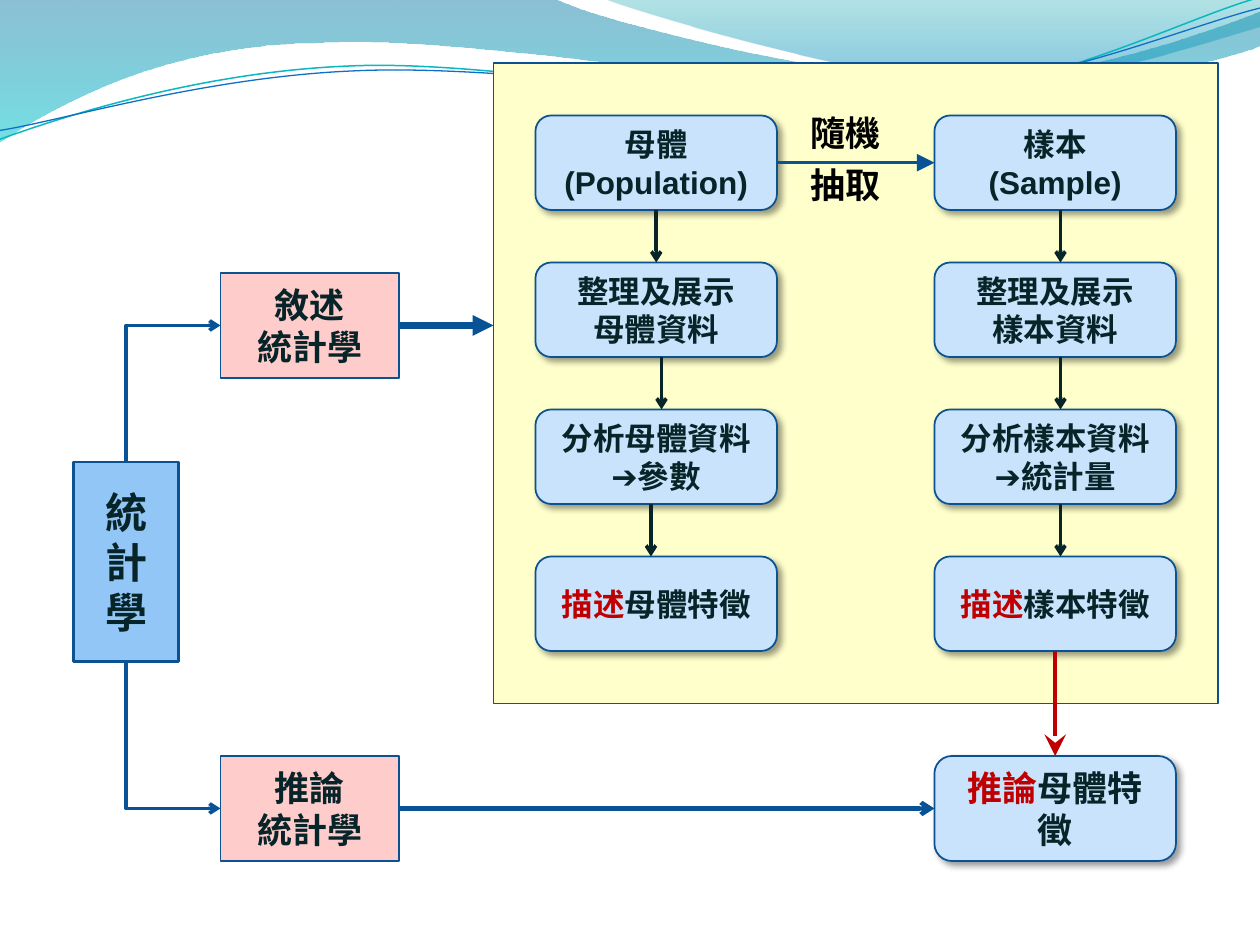
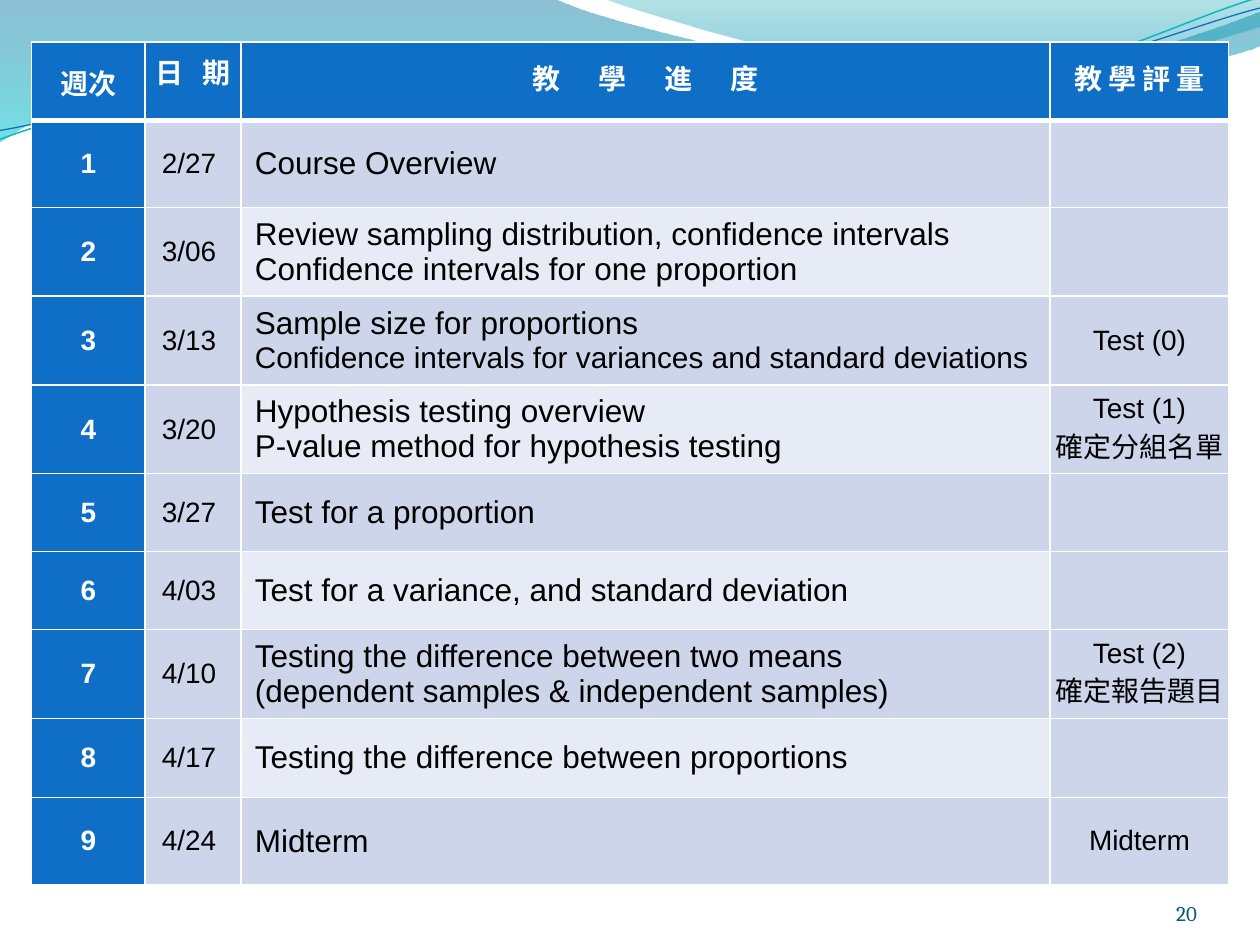
from dataclasses import dataclass

from lxml.etree import SubElement
from pptx import Presentation
from pptx.dml.color import RGBColor
from pptx.enum.shapes import MSO_CONNECTOR, MSO_SHAPE
from pptx.enum.text import MSO_ANCHOR, PP_ALIGN
from pptx.oxml.ns import qn
from pptx.util import Cm, Pt


@dataclass(frozen=True)
class Theme:
    font: str = "Arial"
    label_font: str = "Lato"
    number_font: str = "Cambria"
    ink: str = "072428"
    black: str = "000000"
    white: str = "FFFFFF"
    accent: str = "C00000"
    outline: str = "0B5292"
    flow: str = "095295"
    root: str = "91C6F7"
    branch: str = "FFCCCC"
    panel: str = "FFFFCC"
    step: str = "C8E3FB"
    heading: str = "0F6FC6"
    teal: str = "0AB8BF"
    band: str = "CCD5EA"
    band_light: str = "E7EBF5"
    page_number: str = "045D75"
    root_size: float = 24
    branch_size: float = 20
    step_size: float = 18
    cell_size: float = 16
    topic_size: float = 18
    tight_size: float = 17
    number_size: float = 12


@dataclass(frozen=True)
class Pen:
    colour: str
    width: float
    head: str
    head_size: str = "med"


THEME = Theme()
BRANCH_PEN = Pen(THEME.flow, 2, "arrow")
STEP_PEN = Pen(THEME.ink, 2, "arrow")
DRAW_PEN = Pen(THEME.flow, 2, "triangle", "lg")
PANEL_PEN = Pen(THEME.flow, 4, "triangle")
INFER_PEN = Pen(THEME.flow, 2.5, "arrow")
RESULT_PEN = Pen(THEME.accent, 2.5, "stealth", "lg")
TOP, LEFT, BOTTOM, RIGHT = range(4)

# Wave outlines in thousandths of the slide width:
# a start point, then lines (x, y) and curves (x1, y1, x2, y2, x, y).
BROAD_WAVE = [(0, -1), (440, -1), (476, 17, 664, 63, 758, 63),
              (853, 63, 958, 26, 1000, 9), (1001, 36),
              (983, 44, 870, 76, 746, 75), (622, 75, 382, 28, 257, 34),
              (129, 35, 46, 83, -1, 113)]
RIGHT_WAVE = [(479, -1), (509, 11, 682, 62, 769, 65),
              (856, 69, 961, 32, 1000, 21), (1000, 0)]
TEAL_LINE = [(-2, 87.4), (47, 72, 158, 41, 277.5, 41.5),
             (395.6, 42, 591.5, 93, 712, 90), (832, 87, 939.5, 36, 1000, 21.5)]
BLUE_LINE = [(-2, 80), (46, 75, 164, 45, 283, 46),
             (403.5, 46.5, 596, 87.5, 716, 85), (835, 83, 942, 42, 1002, 29.5)]
LINE_TILT = -2.7

COLUMN_WIDTHS = [2.28, 1.94, 16.31, 3.6]
ROW_HEIGHTS = [1.58, 1.75, 1.79, 1.79, 1.79, 1.57, 1.57, 1.79, 1.6, 1.75]
# Heading, line spacing and letter spacing in points, top margin in cm
HEADINGS = [("週次", 12, 0, 0.42), ("日 期", 12, 3.8, 0),
            ("教 學 進 度", 18, 9.1, 0), ("教 學 評 量", 18, 0, 0)]
# Date, topics, tests; "\v" breaks a line inside a paragraph
SCHEDULE = [
    ("2/27 ", ["Course Overview"], []),
    ("3/06 ", ["Review sampling distribution, confidence intervals",
               "Confidence intervals for one proportion"], []),
    ("3/13 ", ["Sample size for proportions",
               "Confidence intervals for variances and standard deviations"],
     ["Test (0)"]),
    ("3/20 ", ["Hypothesis testing overview\vP-value method for hypothesis testing"],
     ["Test (1)", "確定分組名單"]),
    ("3/27 ", ["Test for a proportion"], []),
    ("4/03 ", ["Test for a variance, and standard deviation"], []),
    ("4/10 ", ["Testing the difference between two means\v"
               "(dependent samples & independent samples)"],
     ["Test (2)", "確定報告題目"]),
    ("4/17 ", ["Testing the difference between proportions"], []),
    ("4/24 ", ["Midterm"], ["Midterm"]),
]


def rgb(colour):
    return RGBColor.from_string(colour)


def grid(steps):
    """Length of a number of steps, 120 of which span the slide width."""
    return Cm(25.4 * steps / 120)


def add_wave(page, outline, close):
    """Freeform whose six-number segments become true curves."""
    points = [segment[at:at + 2] for segment in outline
              for at in range(0, len(segment), 2)]
    builder = page.shapes.build_freeform(*points[0], scale=Cm(25.4) / 1000)
    builder.add_line_segments(points[1:], close=close)
    wave = builder.convert_to_shape()
    wave.shadow.inherit = False
    lines = iter(list(wave._element.spPr.iter(qn("a:lnTo"))))
    for segment in outline[1:]:
        line = next(lines)
        if len(segment) == 6:
            line.tag = qn("a:cubicBezTo")
            for control in (next(lines), next(lines)):
                line.append(control[0])
                control.getparent().remove(control)
    return wave


def add_filled_wave(page, outline, stops):
    """Wave with a downward gradient; a stop is (position, colour, opacity %)."""
    wave = add_wave(page, outline, True)
    wave.line.fill.background()
    wave.fill.gradient()
    wave.fill.gradient_angle = 270
    for stop, (position, colour, _) in zip(wave.fill.gradient_stops, stops):
        stop.position = position
        stop.color.rgb = rgb(colour)
    for colour, (_, _, opacity) in zip(wave._element.spPr.iter(qn("a:srgbClr")), stops):
        SubElement(colour, qn("a:alpha"), val=str(opacity * 1000))
    return wave


def add_line_wave(page, outline, colour, width):
    wave = add_wave(page, outline, False)
    wave.fill.background()
    wave.line.color.rgb = rgb(colour)
    wave.line.width = Pt(width)
    wave.rotation = LINE_TILT
    return wave


def add_master_waves(deck, page):
    """Draw the waves on a page, then hand them to the slide master."""
    waves = [
        add_filled_wave(page, BROAD_WAVE, [(0, "0074A1", 45), (1, "00C6CF", 55)]),
        add_filled_wave(page, RIGHT_WAVE, [(0, "00A1A9", 30), (0.8, "008BBF", 45)]),
        add_line_wave(page, TEAL_LINE, THEME.teal, 0.85),
        add_line_wave(page, BLUE_LINE, THEME.heading, 0.75)]
    for number, wave in enumerate(waves):
        wave._element.nvSpPr.cNvPr.set("id", str(101 + number))
        deck.slide_master.shapes._spTree.append(wave._element)


def write(frame, lines, size, colour, bold=False, align=PP_ALIGN.CENTER,
          font=THEME.font, accent=""):
    """Fill a frame, one paragraph a line; a leading accent word turns red."""
    for number, line in enumerate(lines):
        para = frame.add_paragraph() if number else frame.paragraphs[0]
        para.alignment = align
        para.font.name = font
        para.font.size = Pt(size)
        para.font.bold = bold
        para.font.color.rgb = rgb(colour)
        if accent:
            span = para.add_run()
            span.text = accent
            span.font.color.rgb = rgb(THEME.accent)
        for row, part in enumerate(line.split("\v")):
            if row:
                para.add_line_break()
            para.add_run().text = part


def add_box(page, place, fill, lines=(), size=THEME.branch_size, width=1,
            kind=MSO_SHAPE.RECTANGLE, accent=""):
    """Box with its place (left, top, width, height) in grid steps."""
    box = page.shapes.add_shape(kind, *map(grid, place))
    box.shadow.inherit = False
    box.fill.solid()
    box.fill.fore_color.rgb = rgb(fill)
    box.line.color.rgb = rgb(THEME.outline)
    box.line.width = Pt(width)
    box.text_frame.word_wrap = True
    box.text_frame.vertical_anchor = MSO_ANCHOR.MIDDLE
    write(box.text_frame, lines, size, THEME.ink, bold=True, accent=accent)
    return box


def add_step(page, left, top, lines, height=9, size=THEME.step_size, accent=""):
    box = add_box(page, (left, top, 23, height), THEME.step, lines, size,
                  kind=MSO_SHAPE.ROUNDED_RECTANGLE, accent=accent)
    effects = box._element.spPr.find(qn("a:effectLst"))
    shadow = SubElement(effects, qn("a:outerShdw"), blurRad=str(Pt(4)),
                        dist=str(Pt(3)), dir="2700000", algn="tl", rotWithShape="0")
    colour = SubElement(shadow, qn("a:srgbClr"), val=THEME.black)
    SubElement(colour, qn("a:alpha"), val="40000")
    return box


def add_step_column(page, left, steps):
    return [add_step(page, left, 11 + 14 * number, lines, accent=accent)
            for number, (lines, accent) in enumerate(steps)]


def style_arrow(arrow, pen, end="a:tailEnd"):
    arrow.line.color.rgb = rgb(pen.colour)
    arrow.line.width = Pt(pen.width)
    SubElement(arrow.line._get_or_add_ln(), qn(end), type=pen.head,
               w=pen.head_size, len=pen.head_size)
    SubElement(arrow._element.spPr, qn("a:effectLst"))


def add_arrow(page, pen, begin, end):
    """Straight arrow; each end is a grid point or a (box, side) pair."""
    arrow = page.shapes.add_connector(MSO_CONNECTOR.STRAIGHT, 0, 0, 0, 0)
    if isinstance(begin[0], (int, float)):
        arrow.begin_x, arrow.begin_y = map(grid, begin)
    else:
        arrow.begin_connect(*begin)
    if isinstance(end[0], (int, float)):
        arrow.end_x, arrow.end_y = map(grid, end)
    else:
        arrow.end_connect(*end)
    style_arrow(arrow, pen)


def add_branch_arrow(page, root, root_side, branch):
    """One-bend line drawn from the branch back to the root, head at the branch."""
    arrow = page.shapes.add_connector(MSO_CONNECTOR.ELBOW, 0, 0, 0, 0)
    arrow._element.spPr.find(qn("a:prstGeom")).set("prst", "bentConnector2")
    arrow.begin_connect(branch, LEFT)
    arrow.end_connect(root, root_side)
    style_arrow(arrow, BRANCH_PEN, "a:headEnd")


def build_statistics_map(page):
    root = add_box(page, (7, 44, 10, 19), THEME.root, ["統計學"], THEME.root_size, 1.5)
    descriptive = add_box(page, (21, 26, 17, 10), THEME.branch, ["敘述", "統計學"])
    inferential = add_box(page, (21, 72, 17, 10), THEME.branch, ["推論", "統計學"])
    add_branch_arrow(page, root, TOP, descriptive)
    add_branch_arrow(page, root, BOTTOM, inferential)

    add_box(page, (47, 6, 69, 61), THEME.panel)
    population = add_step_column(page, 51, [
        (["母體", "(Population)"], ""), (["整理及展示", "母體資料"], ""),
        (["分析母體資料", "➔參數"], ""), (["母體特徵"], "描述")])
    sample = add_step_column(page, 89, [
        (["樣本", "(Sample)"], ""), (["整理及展示", "樣本資料"], ""),
        (["分析樣本資料", "➔統計量"], ""), (["樣本特徵"], "描述")])
    conclusion = add_step(page, 89, 72, ["母體特徵"], 10, THEME.branch_size, "推論")

    add_arrow(page, PANEL_PEN, (descriptive, RIGHT), (47, 31))
    add_arrow(page, INFER_PEN, (inferential, RIGHT), (conclusion, LEFT))
    add_arrow(page, DRAW_PEN, (population[0], RIGHT), (sample[0], LEFT))
    label = page.shapes.add_textbox(grid(76), grid(10), Cm(1.93), Cm(2.18)).text_frame
    label.word_wrap = False
    write(label, ["隨機", "抽取"], THEME.branch_size, THEME.black, True,
          PP_ALIGN.LEFT, THEME.label_font)
    label.paragraphs[1].space_before = Pt(6)

    add_arrow(page, STEP_PEN, (population[0], BOTTOM), (population[1], TOP))
    for x, top in ((101, 20), (63, 34), (62, 48), (101, 48), (101, 34)):
        add_arrow(page, STEP_PEN, (x, top), (x, top + 5))
    add_arrow(page, RESULT_PEN, (sample[-1], BOTTOM), (conclusion, TOP))


def format_cell(cell, fill, top=1, bottom=1, margin_left=0.05, margin_top=0):
    cell.vertical_anchor = MSO_ANCHOR.MIDDLE
    cell.margin_left, cell.margin_right = Cm(margin_left), Cm(0.05)
    cell.margin_top, cell.margin_bottom = Cm(margin_top), 0
    properties = cell._tc.get_or_add_tcPr()
    for side, width in zip("LRTB", (1, 1, top, bottom)):
        border = SubElement(properties, qn(f"a:ln{side}"), w=str(Pt(width)))
        paint = SubElement(border, qn("a:solidFill"))
        SubElement(paint, qn("a:srgbClr"), val=THEME.white)
    cell.fill.solid()
    cell.fill.fore_color.rgb = rgb(fill)


def write_heading(cell, text, line_spacing, letter_spacing, margin_top):
    format_cell(cell, THEME.heading, bottom=3, margin_top=margin_top)
    write(cell.text_frame, [text[:-1]], THEME.cell_size, THEME.white, bold=True)
    para = cell.text_frame.paragraphs[0]
    para.line_spacing = Pt(line_spacing)
    para.runs[0].font._element.set("spc", str(round(letter_spacing * 100)))
    para.add_run().text = text[-1]


def build_schedule(page):
    number = page.shapes.add_textbox(Cm(22.02), Cm(17.65), Cm(2.11), Cm(1.02)).text_frame
    number.margin_left = number.margin_right = number.margin_top = number.margin_bottom = 0
    number.vertical_anchor = MSO_ANCHOR.BOTTOM
    number.word_wrap = True
    write(number, ["20"], THEME.number_size, THEME.page_number,
          align=PP_ALIGN.RIGHT, font=THEME.number_font)

    table = page.shapes.add_table(
        len(ROW_HEIGHTS), len(COLUMN_WIDTHS), Cm(0.64), Cm(0.85),
        Cm(sum(COLUMN_WIDTHS)), Cm(sum(ROW_HEIGHTS))).table
    for column, width in zip(table.columns, COLUMN_WIDTHS):
        column.width = Cm(width)
    for row, height in zip(table.rows, ROW_HEIGHTS):
        row.height = Cm(height)
    for column, heading in enumerate(HEADINGS):
        write_heading(table.cell(0, column), *heading)

    for week, (date, topics, tests) in enumerate(SCHEDULE, 1):
        week_cell, date_cell, topic_cell, test_cell = table.rows[week].cells
        top = 3 if week == 1 else 1
        format_cell(week_cell, THEME.heading, top)
        write(week_cell.text_frame, [str(week)], THEME.cell_size, THEME.white, bold=True)
        format_cell(topic_cell, THEME.band if week % 2 else THEME.band_light, top,
                    margin_left=0.28)
        write(topic_cell.text_frame, topics, THEME.topic_size, THEME.black,
              align=PP_ALIGN.LEFT)
        for cell, lines in ((date_cell, [date]), (test_cell, tests)):
            format_cell(cell, THEME.band, top)
            write(cell.text_frame, lines, THEME.cell_size, THEME.black)
    table.cell(3, 2).text_frame.paragraphs[1].font.size = Pt(THEME.tight_size)


def main():
    deck = Presentation()
    deck.slide_width, deck.slide_height = Cm(25.4), Cm(19.05)
    blank = deck.slide_layouts[6]
    map_page, schedule_page = (deck.slides.add_slide(blank) for _ in range(2))
    add_master_waves(deck, map_page)
    build_statistics_map(map_page)
    build_schedule(schedule_page)
    deck.save("out.pptx")


if __name__ == "__main__":
    main()
